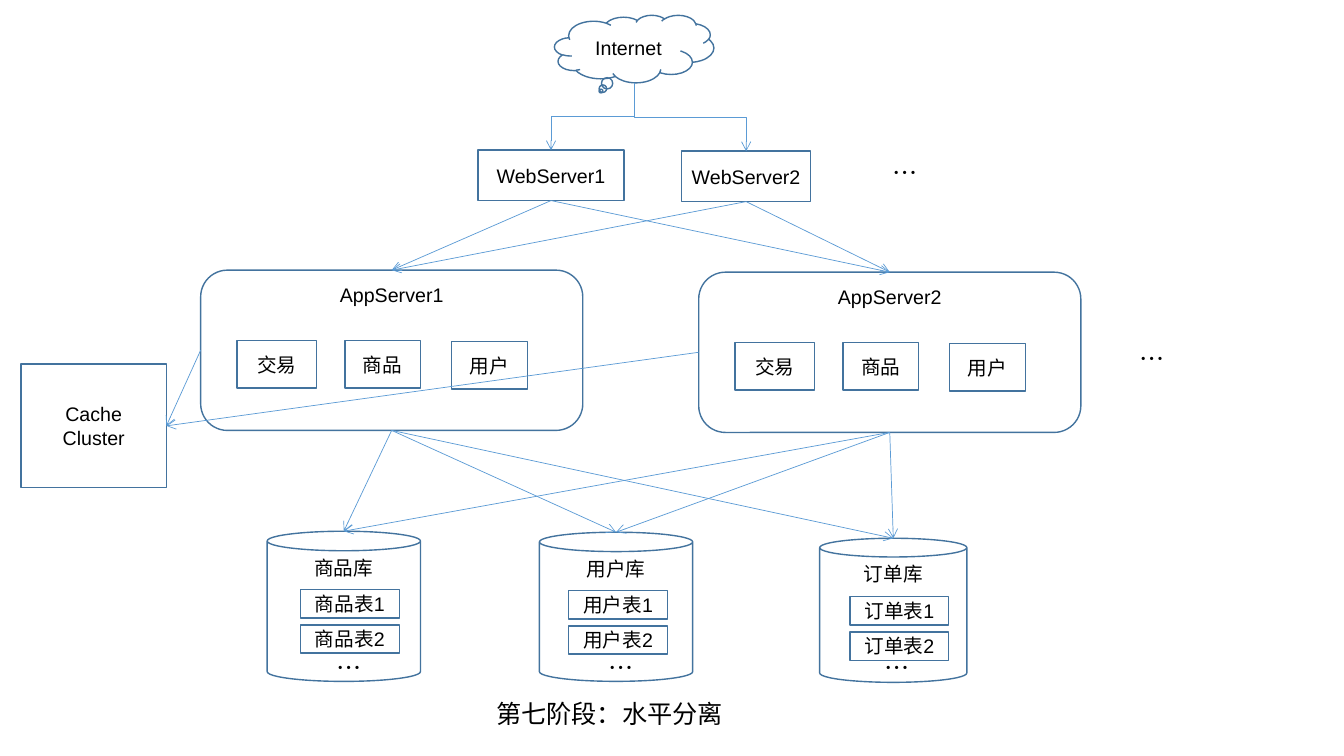
"""Build the horizontal-split architecture slide."""
from lxml.etree import SubElement
from pptx import Presentation
from pptx.dml.color import RGBColor
from pptx.enum.shapes import MSO_CONNECTOR, MSO_SHAPE
from pptx.enum.text import MSO_ANCHOR, MSO_AUTO_SIZE, PP_ALIGN
from pptx.oxml.ns import qn
from pptx.util import Inches, Pt

OUTLINE, ARROW, INK = "43739E", "5B9BD5", "000000"
LATIN, CJK = "Arial", "Noto Sans CJK SC"
TOP, LEFT, BOTTOM, RIGHT = range(4)
CAN_TOP = 1

CAPTION = ("第七阶段：水平分离", 4.82, 6.88, 2.47, 0.4)
INTERNET = ("Internet", 5.5, 0.15, 1.58, 0.67)
CACHE = ("Cache\nCluster", 0.21, 3.61, 1.44, 1.23)
WEB_SERVERS = [("WebServer1", 4.74, 1.49, 1.45, 0.5),
               ("WebServer2", 6.76, 1.5, 1.28, 0.5)]
APP_SERVERS = [("AppServer1", 1.99, 2.68, 3.79, 1.59),
               ("AppServer2", 6.93, 2.7, 3.79, 1.59)]
MODULES = [("交易", 0.36, 0.7, 0.79), ("商品", 1.43, 0.7, 0.75),
           ("用户", 2.49, 0.71, 0.75)]
DATABASES = [("商品", 2.65, 5.27, 1.52, 1.49, 2.98, 3.24),
             ("用户", 5.35, 5.28, 1.52, 1.48, 5.64, 5.94),
             ("订单", 8.13, 5.34, 1.46, 1.43, 8.43, 8.67)]
MORE_SERVERS = [(8.75, 1.51), (11.2, 3.36)]

prs = Presentation()
prs.slide_width, prs.slide_height = Inches(13.33), Inches(7.5)
s = prs.slides.add_slide(prs.slide_layouts[5])


def rgb(value):
    return RGBColor.from_string(value)


def write(tf, text, size, font, align, anchor):
    tf.text = text
    tf.vertical_anchor = anchor
    for p in tf.paragraphs:
        p.alignment = align
        p.font.size, p.font.name = Pt(size), font
        p.font.color.rgb = rgb(INK)
        SubElement(p.font._element, qn("a:ea"), typeface=CJK)


def label(sp, text):
    tf = sp.text_frame
    write(tf, text, 18, CJK, PP_ALIGN.LEFT, MSO_ANCHOR.TOP)
    tf.word_wrap = False
    tf.auto_size = MSO_AUTO_SIZE.SHAPE_TO_FIT_TEXT


def ellipsis(x, y):
    label(s.shapes.add_textbox(Inches(x), Inches(y), Inches(0.45), Inches(0.4)), "…")


def box(text, x, y, w, h, kind=MSO_SHAPE.RECTANGLE, anchor=MSO_ANCHOR.MIDDLE):
    sp = s.shapes.add_shape(kind, Inches(x), Inches(y), Inches(w), Inches(h))
    sp.shadow.inherit = False
    sp.fill.background()
    sp.line.color.rgb, sp.line.width = rgb(OUTLINE), Pt(1)
    write(sp.text_frame, text, 14, LATIN, PP_ALIGN.CENTER, anchor)
    return sp


def style_arrow(conn):
    conn.line.color.rgb, conn.line.width = rgb(ARROW), Pt(0.5)
    SubElement(conn.line._get_or_add_ln(), qn("a:tailEnd"), type="arrow")
    SubElement(conn._element.spPr, qn("a:effectLst"))


def site(sp, side):
    return {TOP: (sp.left + sp.width // 2, sp.top),
            LEFT: (sp.left, sp.top + sp.height // 2),
            BOTTOM: (sp.left + sp.width // 2, sp.top + sp.height),
            RIGHT: (sp.left + sp.width, sp.top + sp.height // 2)}[side]


def arrow(start, start_side, end, end_side, end_index=None):
    conn = s.shapes.add_connector(MSO_CONNECTOR.STRAIGHT, 0, 0, 0, 0)
    conn.begin_connect(start, start_side)
    conn.end_connect(end, end_side if end_index is None else end_index)
    conn.end_x, conn.end_y = site(end, end_side)
    style_arrow(conn)


def elbow_down(start, end):
    (x1, y1), (x2, y2) = site(start, BOTTOM), site(end, TOP)
    drop, run = y2 - y1, abs(x2 - x1)
    left, top = (x1 + x2 - drop) // 2, (y1 + y2 - run) // 2
    ends = (left, left + drop) if x2 < x1 else (left + drop, left)
    conn = s.shapes.add_connector(MSO_CONNECTOR.ELBOW, ends[0], top, ends[1], top + run)
    conn._element.spPr.xfrm.set("rot", str((90 if x2 < x1 else 270) * 60000))
    style_arrow(conn)


title = s.shapes.title
title.left, title.top, title.width, title.height = map(Inches, CAPTION[1:])
label(title, CAPTION[0])

internet = box(*INTERNET, kind=MSO_SHAPE.CLOUD_CALLOUT)
cache = box(*CACHE)
webs = [box(*web) for web in WEB_SERVERS]
apps = []
for app in APP_SERVERS:
    apps.append(box(*app, kind=MSO_SHAPE.ROUNDED_RECTANGLE, anchor=MSO_ANCHOR.TOP))
    for name, dx, dy, w in MODULES:
        box(name, app[1] + dx, app[2] + dy, w, 0.47)

cans = []
for name, x, y, w, h, table_x, more_x in DATABASES:
    can = box(name + "库", x, y, w, h, MSO_SHAPE.CAN, MSO_ANCHOR.TOP)
    can.adjustments[0] = 0.13
    cans.append(can)
    for i in range(2):
        box(f"{name}表{i + 1}", table_x, y + 0.58 + 0.35 * i, 0.98, 0.28)
    ellipsis(more_x, 6.42)

for x, y in MORE_SERVERS:
    ellipsis(x, y)

for web in webs:
    elbow_down(internet, web)
    for app in apps:
        arrow(web, BOTTOM, app, TOP)
for app in apps:
    arrow(app, LEFT, cache, RIGHT)
    for can in cans:
        arrow(app, BOTTOM, can, TOP, CAN_TOP)

prs.save("out.pptx")
